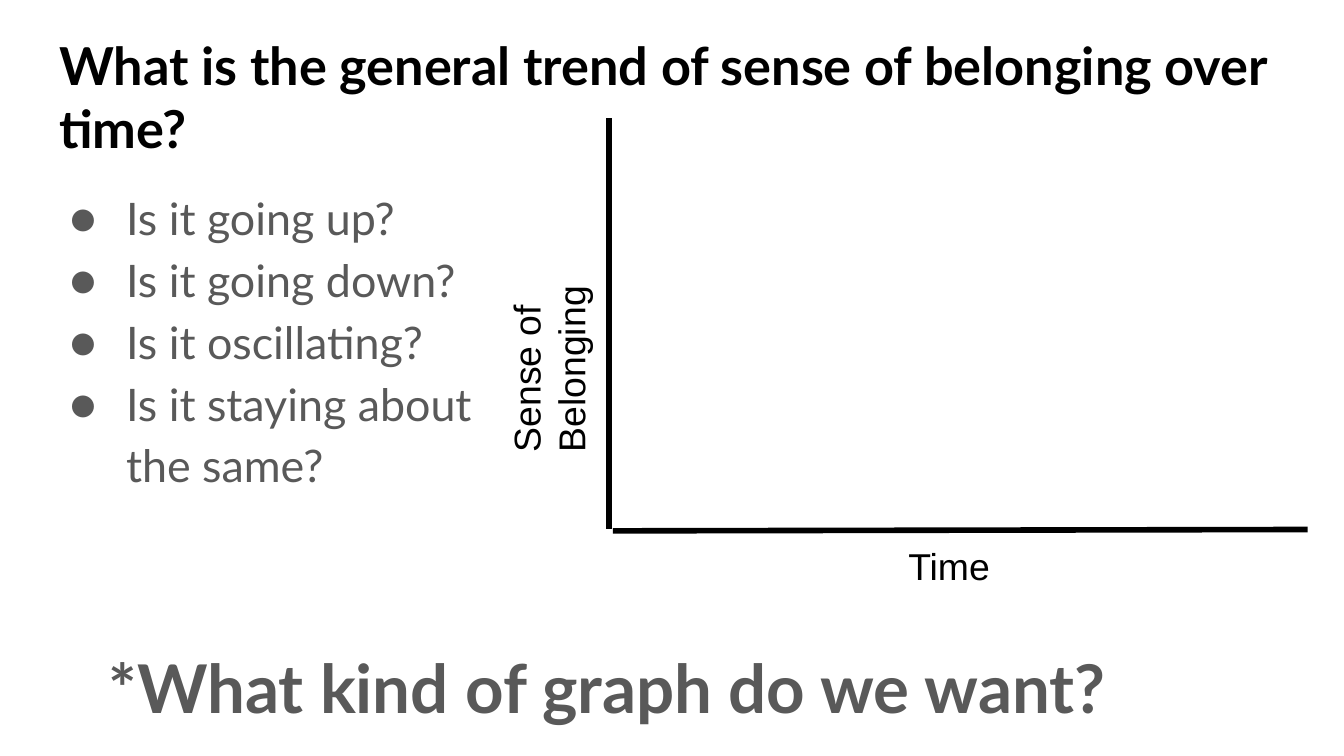
import pptx
import pptx.dml.color
import pptx.enum.shapes
import pptx.enum.text
import pptx.oxml
import pptx.oxml.ns
import pptx.util
from pptx.util import Inches

BLACK = pptx.dml.color.RGBColor(0x00, 0x00, 0x00)
GRAY = pptx.dml.color.RGBColor(0x59, 0x59, 0x59)
WHITE = pptx.dml.color.RGBColor(0xFF, 0xFF, 0xFF)
TITLE_ONLY = 5


def add_bullet(paragraph, font, color, character="●"):
    """Give a paragraph a hanging bullet in the font and colour of the text."""
    properties = paragraph._p.get_or_add_pPr()
    properties.set("marL", str(Inches(0.5)))
    properties.set("indent", str(Inches(-0.42)))
    namespace = pptx.oxml.ns.nsdecls("a")
    for element in (
            f'<a:buClr {namespace}><a:srgbClr val="{color}"/></a:buClr>',
            f'<a:buSzPct {namespace} val="100000"/>',
            f'<a:buFont {namespace} typeface="{font}"/>',
            f'<a:buChar {namespace} char="{character}"/>'):
        properties.append(pptx.oxml.parse_xml(element))


def write_text(shape, text, *, size, font="Lato", color=BLACK, bold=False,
               line_spacing=1.0, bullets=False):
    """Fill a shape with text, one paragraph a line."""
    frame = shape.text_frame
    frame.word_wrap = True
    frame.auto_size = pptx.enum.text.MSO_AUTO_SIZE.NONE
    frame.vertical_anchor = pptx.enum.text.MSO_ANCHOR.TOP
    frame.margin_left = frame.margin_right = Inches(0.1)
    frame.margin_top = frame.margin_bottom = Inches(0.1)
    frame.text = text
    for paragraph in frame.paragraphs:
        if bullets:
            add_bullet(paragraph, font, color)
        paragraph.alignment = pptx.enum.text.PP_ALIGN.LEFT
        paragraph.line_spacing = line_spacing
        # The paragraph end carries the same size, which also sizes the bullet
        mark = paragraph._p.get_or_add_endParaRPr()
        mark.set("sz", str(size * 100))
        for run in paragraph.runs:
            run.font.name = font
            run.font.size = pptx.util.Pt(size)
            run.font.bold = bold
            run.font.color.rgb = color


def add_title(slide, text, left, top, width, height):
    title = slide.shapes.title
    title.left, title.top = Inches(left), Inches(top)
    title.width, title.height = Inches(width), Inches(height)
    write_text(title, text, size=28, bold=True)


def add_text(slide, text, left, top, width, height, rotation=0, **text_format):
    box = slide.shapes.add_textbox(
        Inches(left), Inches(top), Inches(width), Inches(height))
    box.rotation = rotation
    write_text(box, text, **text_format)


def add_axis(slide, start, end):
    axis = slide.shapes.add_connector(
        pptx.enum.shapes.MSO_CONNECTOR.STRAIGHT,
        *(Inches(value) for value in (*start, *end)))
    axis.line.color.rgb = BLACK
    axis.line.width = pptx.util.Pt(3)
    axis._element.spPr.append(pptx.oxml.parse_xml(
        f'<a:effectLst {pptx.oxml.ns.nsdecls("a")}/>'))


def main():
    # Widescreen, 16 by 9
    presentation = pptx.Presentation()
    presentation.slide_width = Inches(10)
    presentation.slide_height = Inches(10) * 9 // 16
    slide = presentation.slides.add_slide(
        presentation.slide_layouts[TITLE_ONLY])
    slide.background.fill.solid()
    slide.background.fill.fore_color.rgb = WHITE

    # Title and guiding questions
    add_title(slide, "What is the general trend of sense of belonging over time?",
              0.34, 0.15, 9.32, 0.63)
    questions = ["Is it going up?", "Is it going down?", "Is it oscillating?",
                 "Is it staying about the same?"]
    add_text(slide, "\n".join(questions), 0.34, 1.26, 3.64, 2.85,
             size=24, color=GRAY, line_spacing=1.15, bullets=True)

    # Empty graph: axes and their labels
    add_axis(slide, (4.53, 0.88), (4.53, 3.94))
    add_axis(slide, (9.73, 3.94), (4.56, 3.95))
    add_text(slide, "Sense of Belonging", 2.78, 2.03, 2.3, 0.57,
             rotation=270, size=20, font="Arial")
    add_text(slide, "Time", 6.66, 3.94, 3.07, 0.43, size=20, font="Arial")

    # Closing question
    add_text(slide, "*What kind of graph do we want?", 0.71, 4.62, 9.02, 0.7,
             size=36, color=GRAY, bold=True, line_spacing=1.15)

    presentation.save("out.pptx")


if __name__ == "__main__":
    main()
